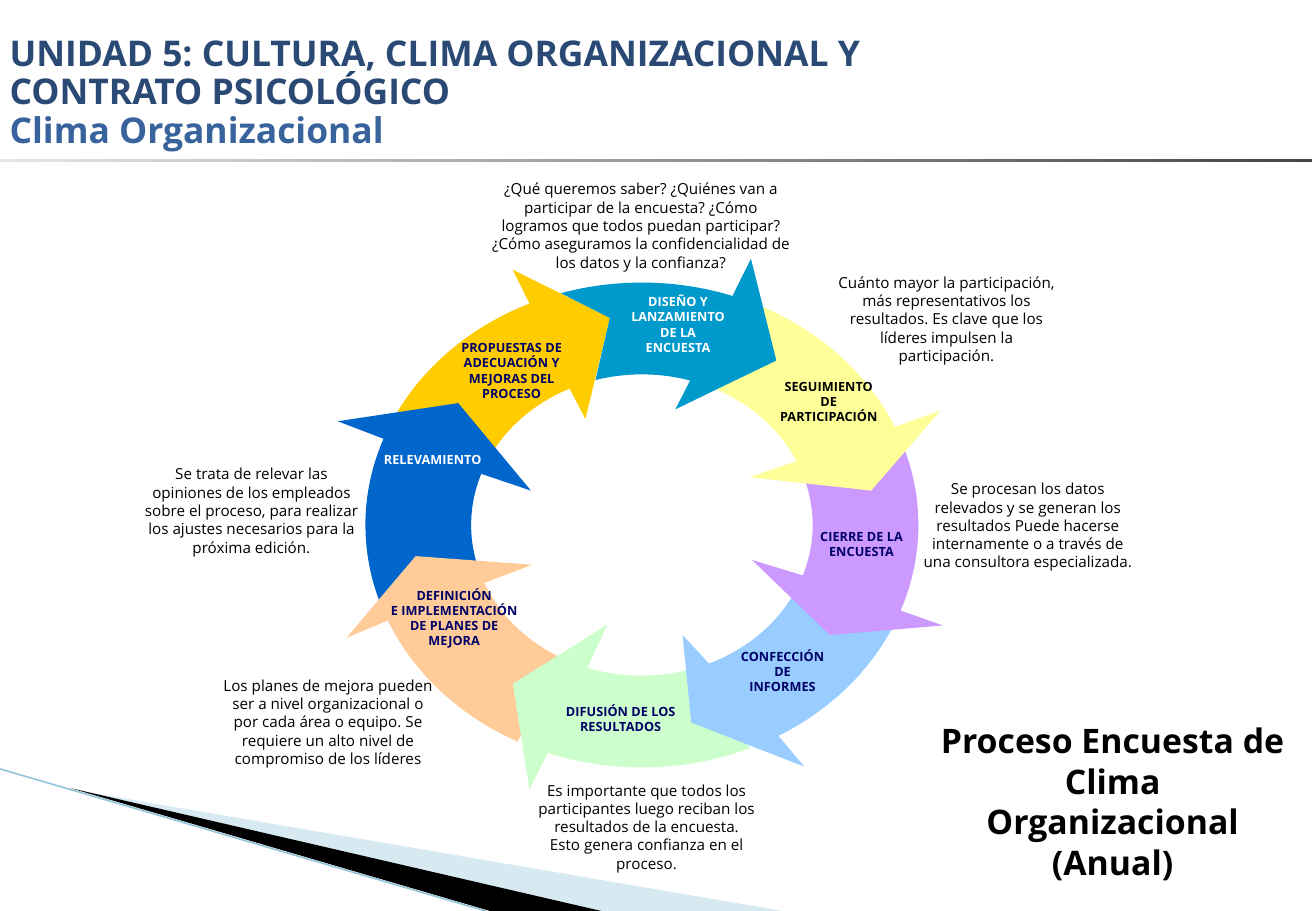
import math
from lxml import etree
from pptx import Presentation
from pptx import util as u
from pptx.dml.color import RGBColor
from pptx.enum import shapes, text
from pptx.oxml.ns import qn

# Content (all lengths in cm)
FONT = "Open Sans"
COLORS = {
    "gold": "FFCC00", "royal": "0066CC", "peach": "FFCC99", "mint": "CCFFCC",
    "sky": "99CCFF", "violet": "CC99FF", "lemon": "FFFF99", "teal": "0099CC",
    "navy": "000066", "black": "000000", "white": "FFFFFF",
    "title": "2A4A75", "subtitle": "39639D", "wedge": "9CCADC", "edge": "93C5D8",
    "rule_start": "E5E5E5", "rule_end": "464646",
}
TITLE = ["UNIDAD 5: CULTURA, CLIMA ORGANIZACIONAL Y CONTRATO PSICOLÓGICO",
         "Clima Organizacional"]

# Ring that the arrows follow: centre, then horizontal and vertical radii
CENTER = (13.42, 10.98)
OUTER = (5.78, 5.07)
INNER = (3.57, 3.15)

# Arrow: colour, then outer tail, outer neck, outer barb, tip,
# inner barb, inner neck, inner tail and, if any, a notch
ARROWS = [
    ("gold", (8.18, 8.79), (11.07, 6.35), (10.72, 5.64), (12.75, 6.65),
     (12.24, 8.76), (11.91, 8.13), (10.19, 9.6)),
    ("royal", (8.08, 12.85), (8, 9.17), (7.06, 8.81), (9.58, 8.43),
     (11.1, 10.26), (10.06, 9.91), (10.01, 11.79)),
    ("peach", (10.87, 15.42), (8.1, 12.98), (7.24, 13.34), (8.69, 11.63),
     (11.13, 11.81), (10.13, 12.19), (11.84, 13.67)),
    ("mint", (15.7, 15.67), (11.46, 15.72), (11.07, 16.51), (10.72, 14.3),
     (12.7, 13.06), (12.29, 13.94), (14.48, 14)),
    ("sky", (18.59, 13.11), (16.23, 15.32), (16.81, 16.03), (14.45, 15.11),
     (14.27, 13.28), (14.78, 13.79), (16.59, 12.27)),
    ("violet", (18.75, 8.92), (18.77, 12.75), (19.71, 13.08), (17.35, 13.28),
     (15.72, 11.71), (16.71, 12.01), (16.84, 9.98)),
    ("lemon", (15.95, 6.38), (18.72, 8.92), (19.66, 8.59), (18.21, 10.26),
     (15.67, 9.98), (16.69, 9.63), (14.99, 8.13)),
    ("teal", (11.73, 6.15), (15.32, 6.17), (15.7, 5.41), (16.23, 7.54),
     (14.12, 8.56), (14.43, 7.95), (12.45, 7.95), (12.75, 6.65)),
]

# Label: left, top, width, colour, paragraphs
LABELS = [
    (16.89, 10.95, 2.24, "navy", ["CIERRE DE LA ENCUESTA"]),
    (15.65, 7.82, 3.35, "black", ["SEGUIMIENTO", "DE", "PARTICIPACIÓN"]),
    (12.5, 6.05, 3.35, "white", ["DISEÑO Y", "LANZAMIENTO", "DE LA", "ENCUESTA"]),
    (7.37, 9.35, 3.35, "white", ["RELEVAMIENTO"]),
    (7.82, 12.19, 3.35, "navy",
     ["DEFINICIÓN", "E IMPLEMENTACIÓN DE PLANES DE MEJORA"]),
    (15.24, 13.46, 2.24, "navy", ["CONFECCIÓN DE INFORMES"]),
    (11.3, 14.61, 3.35, "navy", ["DIFUSIÓN DE LOS RESULTADOS"]),
    (9.02, 7.01, 3.35, "navy", ["PROPUESTAS DE ADECUACIÓN Y MEJORAS DEL PROCESO"]),
]

# Note: left, top, width, height, text
NOTES = [
    (2.74, 9.47, 5.03, 2.82, "Se trata de relevar las opiniones de los empleados sobre el "
     "proceso, para realizar los ajustes necesarios para la próxima edición."),
    (4.34, 13.89, 5.03, 2.82, "Los planes de mejora pueden ser a nivel organizacional o por "
     "cada área o equipo. Se requiere un alto nivel de compromiso de los líderes"),
    (11, 16.08, 5.03, 2.44, "Es importante que todos los participantes luego reciban los "
     "resultados de la encuesta. Esto genera confianza en el proceso."),
    (18.97, 9.78, 5.03, 2.82, "Se procesan los datos relevados y se generan los resultados "
     "Puede hacerse internamente o a través de una consultora especializada."),
    (17.27, 5.46, 5.03, 2.82, "Cuánto mayor la participación, más representativos los "
     "resultados. Es clave que los líderes impulsen la participación."),
    (9.98, 3.51, 6.83, 2.44, "¿Qué queremos saber? ¿Quiénes van a participar de la encuesta? "
     "¿Cómo logramos que todos puedan participar? ¿Cómo aseguramos la confidencialidad de "
     "los datos y la confianza?"),
]
HEADLINE = (19.3, 14.81, 7.92, 3.94, "Proceso Encuesta de Clima Organizacional (Anual)")


def rgb(name):
    return RGBColor.from_string(COLORS[name])


def write(frame, paragraphs, *, size, colors, bold=False, align=text.PP_ALIGN.CENTER,
          anchor=text.MSO_ANCHOR.TOP, insets=(0.25, 0.25, 0.25, 0.25), spacing=None):
    """Fill a text frame; the last colour serves any further paragraphs."""
    frame.word_wrap = True
    frame.auto_size = text.MSO_AUTO_SIZE.NONE
    frame.vertical_anchor = anchor
    (frame.margin_left, frame.margin_top,
     frame.margin_right, frame.margin_bottom) = map(u.Cm, insets)
    for index, content in enumerate(paragraphs):
        paragraph = frame.add_paragraph() if index else frame.paragraphs[0]
        paragraph.alignment = align
        paragraph.space_before = u.Pt(0)
        if spacing:
            paragraph.line_spacing = spacing
        run = paragraph.add_run()
        run.text = content
        run.font.name = FONT
        run.font.size = u.Pt(size)
        run.font.bold = bold
        run.font.color.rgb = rgb(colors[min(index, len(colors) - 1)])


def add_text(parent, box, paragraphs, **style):
    textbox = parent.add_textbox(*map(u.Cm, box))
    write(textbox.text_frame, paragraphs, **style)


def add_outline(parent, points, color):
    points = [(u.Cm(x), u.Cm(y)) for x, y in points]
    builder = parent.build_freeform(*points[0])
    builder.add_line_segments(points[1:], close=True)
    shape = builder.convert_to_shape()
    shape.shadow.inherit = False
    shape.fill.solid()
    shape.fill.fore_color.rgb = rgb(color)
    shape.line.fill.background()
    return shape


def arc(start, end, radii, steps=24):
    """Clockwise points on the ring between two points near it."""
    first, last = (math.atan2((y - CENTER[1]) / radii[1], (x - CENTER[0]) / radii[0])
                   for x, y in (start, end))
    sweep = (last - first) % math.tau
    angles = [first + sweep * step / steps for step in range(steps + 1)]
    return [(CENTER[0] + radii[0] * math.cos(angle),
             CENTER[1] + radii[1] * math.sin(angle)) for angle in angles]


presentation = Presentation()
presentation.slide_width, presentation.slide_height = u.Cm(27.51), u.Cm(19.05)
slide = presentation.slides.add_slide(presentation.slide_layouts[5])

# Corner decoration
wedge = add_outline(slide.shapes, [(1.5, 16.51), (16.36, 19.05), (12.55, 19.05)], "wedge")
wedge_color = wedge.fill._xPr.find(".//" + qn("a:srgbClr"))
etree.SubElement(wedge_color, qn("a:alpha")).set("val", "40000")
add_outline(slide.shapes, [(1.47, 16.48), (12.57, 19.05), (10.24, 19.05)], "black")
edge = slide.shapes.add_connector(shapes.MSO_CONNECTOR.STRAIGHT,
                                  u.Cm(0), u.Cm(16.08), u.Cm(10.15), u.Cm(19.05))
edge.line.color.rgb = rgb("edge")
edge.line.width = u.Pt(0.95)
etree.SubElement(edge._element.spPr, qn("a:effectLst"))

# Rule under the title
rule = slide.shapes.add_shape(shapes.MSO_SHAPE.RECTANGLE,
                              u.Cm(0), u.Cm(3.33), u.Cm(27.43), u.Cm(0.05))
rule.shadow.inherit = False
rule.line.fill.background()
rule.fill.gradient()
rule.fill.gradient_angle = 0
for stop, color in zip(rule.fill.gradient_stops, ("rule_start", "rule_end")):
    stop.color.rgb = rgb(color)

# Title
title = slide.shapes.title
title.left, title.top, title.width, title.height = map(u.Cm, (0, 0, 19.2, 3.3))
write(title.text_frame, TITLE, size=21, colors=["title", "subtitle"], bold=True,
      align=text.PP_ALIGN.LEFT, anchor=text.MSO_ANCHOR.MIDDLE,
      insets=(0.2, 0.71, 0.2, 0.1), spacing=0.9)

# Cycle of arrows with their labels
cycle = slide.shapes.add_group_shape().shapes
for color, tail, neck, barb, tip, inner_barb, inner_neck, inner_tail, *notch in ARROWS:
    inner_arc = arc(inner_tail, inner_neck, INNER)[::-1]
    add_outline(cycle, arc(tail, neck, OUTER) + [barb, tip, inner_barb]
                + inner_arc + notch, color)
for left, top, width, color, lines in LABELS:
    add_text(cycle, (left, top, width, 1.1), lines, size=7.5, colors=[color], bold=True,
             insets=(0.23, 0.1, 0.23, 0.1))

# Notes around the cycle and headline
for *box, note in NOTES:
    add_text(slide.shapes, box, [note], size=9, colors=["black"])
*box, headline = HEADLINE
add_text(slide.shapes, box, [headline], size=20, colors=["black"], bold=True)

presentation.save("out.pptx")
